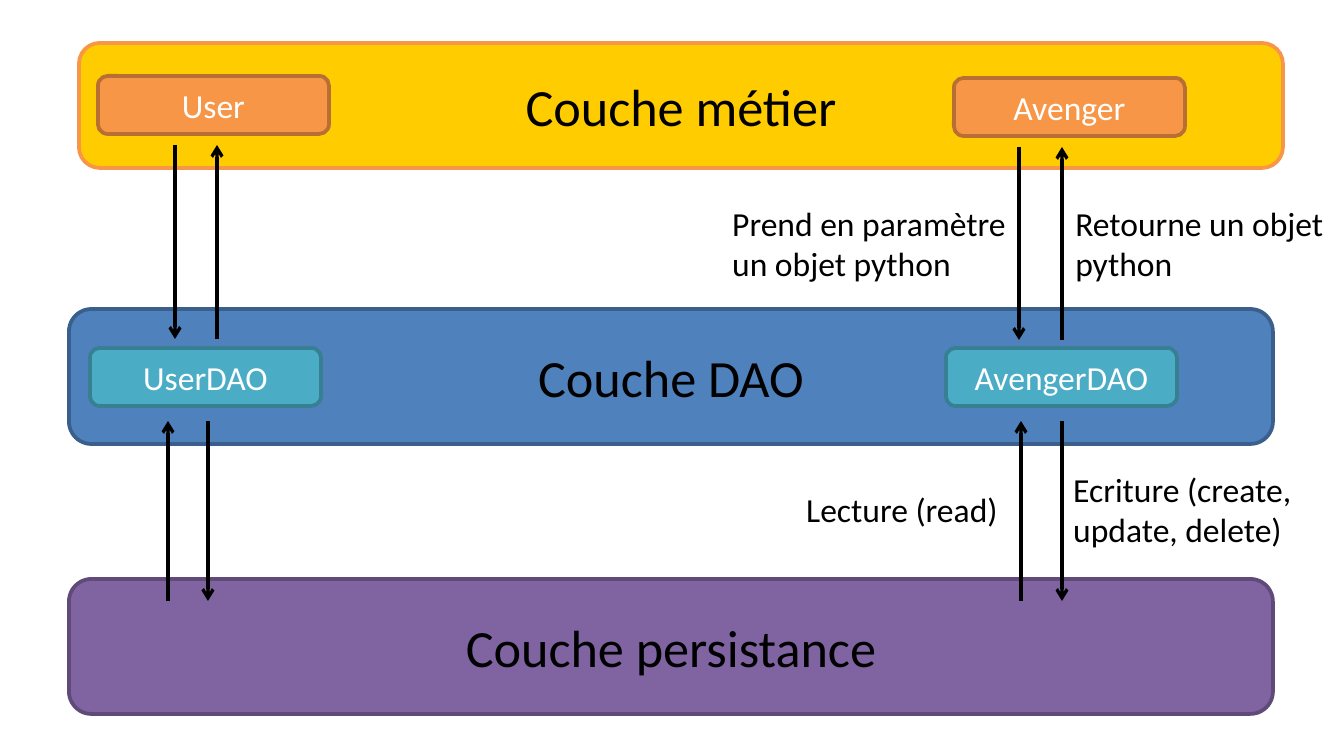
from dataclasses import dataclass

from lxml import etree
from pptx import Presentation
from pptx.dml.color import RGBColor
from pptx.enum.shapes import MSO_CONNECTOR, MSO_SHAPE
from pptx.enum.text import MSO_AUTO_SIZE, PP_ALIGN
from pptx.oxml.ns import qn
from pptx.util import Pt

ROUND = MSO_SHAPE.ROUNDED_RECTANGLE
STRAIGHT = MSO_CONNECTOR.STRAIGHT
CENTER = PP_ALIGN.CENTER
FIT = MSO_AUTO_SIZE.SHAPE_TO_FIT_TEXT
SCALE = 914400 / 134.4


def px(*sizes):
    return [round(size * SCALE) for size in sizes]


@dataclass
class Theme:
    font: str = "Calibri"
    big: int = 28
    small: int = 18
    edge: float = 2
    stroke: float = 1.75
    ink: str = "000000"
    light: str = "FFFFFF"
    gold: tuple = ("FFCC00", "F79646")
    blue: tuple = ("4F81BD", "3A5F8C")
    plum: tuple = ("8064A2", "5F4A78")
    orange: tuple = ("F79646", "B76F34")
    teal: tuple = ("4BACC6", "377F92")


class Board:
    """Draws styled layers, classes, notes and arrows on one slide."""

    def __init__(self, slide, theme):
        self.slide = slide
        self.theme = theme

    def label(self, frame, lines, size, color, align=None):
        frame.text = "\n".join(lines)
        for para in frame.paragraphs:
            para.alignment = align
            para.font.name = self.theme.font
            para.font.size = Pt(size)
            para.font.color.rgb = RGBColor.from_string(color)

    def block(self, text, area, tones, size, color):
        shape = self.slide.shapes.add_shape(ROUND, *px(*area))
        shape.shadow.inherit = False
        fill, edge = tones
        shape.fill.solid()
        shape.fill.fore_color.rgb = RGBColor.from_string(fill)
        shape.line.color.rgb = RGBColor.from_string(edge)
        shape.line.width = Pt(self.theme.edge)
        self.label(shape.text_frame, [text], size, color, CENTER)

    def layer(self, text, left, top, high, tones):
        area = (left, top, 1204, high)
        self.block(text, area, tones, self.theme.big, self.theme.ink)

    def entry(self, text, left, top, tones):
        area = (left, top, 231, 58)
        self.block(text, area, tones, self.theme.small, self.theme.light)

    def note(self, lines, area, wrap):
        frame = self.slide.shapes.add_textbox(*px(*area)).text_frame
        frame.word_wrap = wrap
        frame.auto_size = FIT
        self.label(frame, lines, self.theme.small, self.theme.ink)

    def arrow(self, x, start, end):
        link = self.slide.shapes.add_connector(STRAIGHT, *px(x, start, x, end))
        link.line.color.rgb = RGBColor.from_string(self.theme.ink)
        link.line.width = Pt(self.theme.stroke)
        props = link._element.spPr
        tip = etree.SubElement(props.find(qn("a:ln")), qn("a:tailEnd"))
        tip.set("type", "arrow")
        etree.SubElement(props, qn("a:effectLst"))

    def pair(self, down, up, top, bottom):
        self.arrow(down, top, bottom)
        self.arrow(up, bottom, top)


deck = Presentation()
deck.slide_width, deck.slide_height = px(1344, 756)
theme = Theme()
board = Board(deck.slides.add_slide(deck.slide_layouts[6]), theme)

for layer in (
    ("Couche métier", 79, 43, 125, theme.gold),
    ("Couche DAO", 69, 309, 135, theme.blue),
    ("Couche persistance", 69, 579, 135, theme.plum),
):
    board.layer(*layer)

for entry in (
    ("User", 98, 76, theme.orange),
    ("Avenger", 954, 78, theme.orange),
    ("UserDAO", 90, 348, theme.teal),
    ("AvengerDAO", 946, 348, theme.teal),
):
    board.entry(*entry)

for note in (
    (["Ecriture (create,", "update, delete)"], (1060, 462, 247, 95), False),
    (["Lecture (read)"], (793, 482, 222, 54), False),
    (["Prend en paramètre", "un objet python"], (719, 196, 409, 95), True),
    (["Retourne un objet python"], (1062, 196, 282, 95), True),
):
    board.note(*note)

for pair in (
    (175, 217, 145, 339),
    (208, 168, 421, 601),
    (1019, 1062, 147, 340),
    (1062, 1021, 421, 601),
):
    board.pair(*pair)

deck.save("out.pptx")
